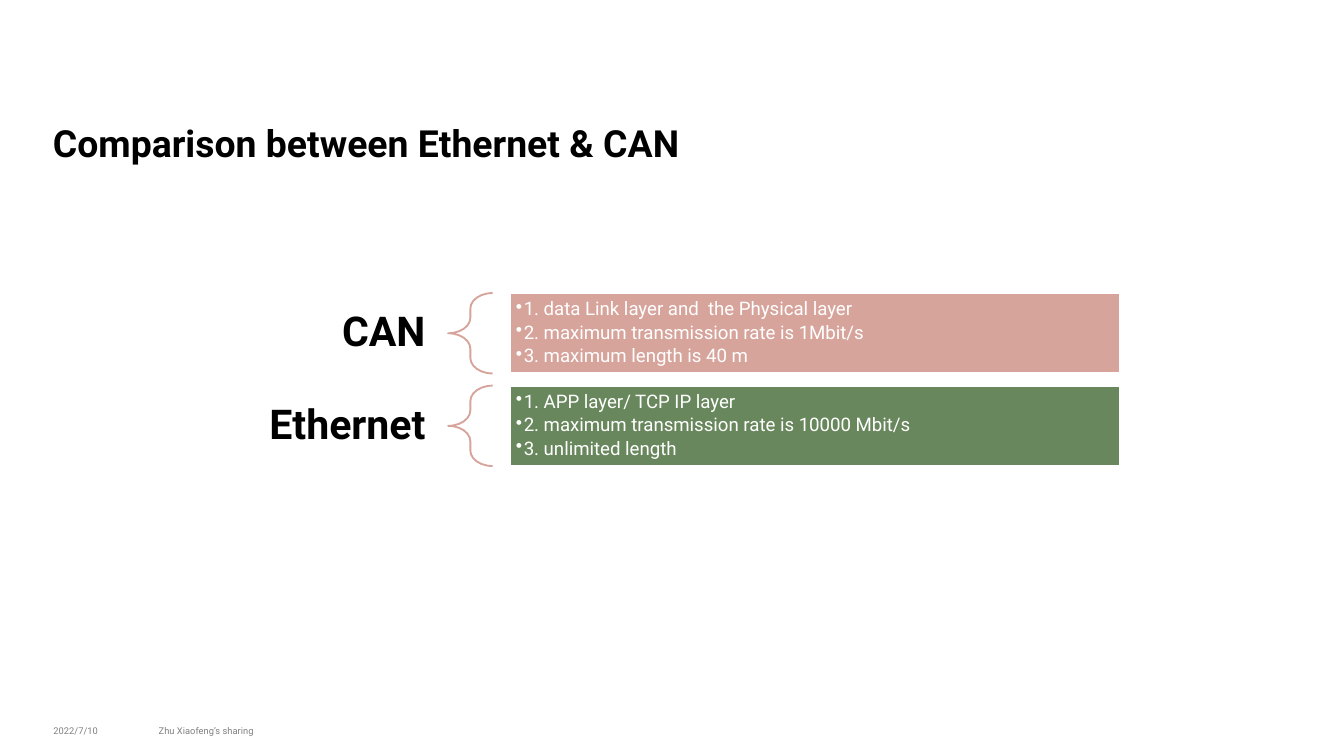
from lxml import etree
from pptx import Presentation
from pptx.dml.color import RGBColor
from pptx.enum.shapes import MSO_SHAPE
from pptx.enum.text import MSO_ANCHOR, PP_ALIGN
from pptx.oxml.ns import qn
from pptx.util import Cm, Pt

BLACK = RGBColor(0x00, 0x00, 0x00)
GREY = RGBColor(0x80, 0x80, 0x80)
WHITE = RGBColor(0xFF, 0xFF, 0xFF)
ROSE = RGBColor(0xD7, 0xA4, 0x9C)
GREEN = RGBColor(0x68, 0x87, 0x5C)
FONT = "Roboto"
LEFT, RIGHT = PP_ALIGN.LEFT, PP_ALIGN.RIGHT
MIDDLE, BOTTOM = MSO_ANCHOR.MIDDLE, MSO_ANCHOR.BOTTOM
BRACE, RECTANGLE = MSO_SHAPE.LEFT_BRACE, MSO_SHAPE.RECTANGLE

TITLE = "Comparison between Ethernet & CAN"
FOOTERS = [  # text, left, width
    ("2022/7/10", 1.01, 1.3),
    ("Zhu Xiaofeng’s sharing", 3.0, 9.3),
]
NETWORKS = [  # name, panel colour, points
    ("CAN", ROSE, [
        "1. data Link layer and  the Physical layer",
        "2. maximum transmission rate is 1Mbit/s",
        "3. maximum length is 40 m",
    ]),
    ("Ethernet", GREEN, [
        "1. APP layer/ TCP IP layer",
        "2. maximum transmission rate is 10000 Mbit/s",
        "3. unlimited length",
    ]),
]

# Row geometry in centimetres
FIRST_TOP, ROW_PITCH, ROW_HEIGHT = 5.54, 1.75, 1.52
LABEL_LEFT, LABEL_WIDTH, LABEL_HEIGHT = 4.23, 4.24, 1.22
BRACE_LEFT, BRACE_WIDTH = 8.47, 0.84
PANEL_LEFT, PANEL_WIDTH = 9.65, 11.51
BULLET_INDENT = 0.15


def add_bullet(paragraph):
    properties = paragraph._p.get_or_add_pPr()
    properties.set("marL", str(Cm(BULLET_INDENT)))
    properties.set("indent", str(-Cm(BULLET_INDENT)))
    etree.SubElement(properties, qn("a:buChar")).set("char", "•")


def write(shape, lines, size, color, bold=False, align=LEFT, anchor=MIDDLE,
          inset=(0, 0), spacing=1.0, after=0, bullets=False):
    """Fill the shape with one paragraph per line; inset is (sides, top and bottom)."""
    frame = shape.text_frame
    frame.word_wrap = True
    frame.vertical_anchor = anchor
    frame.margin_left = frame.margin_right = Cm(inset[0])
    frame.margin_top = frame.margin_bottom = Cm(inset[1])
    for index, line in enumerate(lines):
        paragraph = frame.add_paragraph() if index else frame.paragraphs[0]
        if bullets:
            add_bullet(paragraph)
        paragraph.alignment = align
        paragraph.line_spacing = spacing
        paragraph.space_after = Pt(after)
        run = paragraph.add_run()
        run.text = line
        run.font.name = FONT
        run.font.size = Pt(size)
        run.font.bold = bold
        run.font.color.rgb = color


def add_text(slide, box, line, size, color, **style):
    textbox = slide.shapes.add_textbox(*map(Cm, box))
    write(textbox, [line], size, color, **style)


def add_outlined(slide, kind, box, line_color):
    shape = slide.shapes.add_shape(kind, *map(Cm, box))
    shape.shadow.inherit = False
    shape.line.color.rgb = line_color
    shape.line.width = Pt(1)
    return shape


def add_network(slide, top, name, color, points):
    label_top = top + (ROW_HEIGHT - LABEL_HEIGHT) / 2
    add_text(slide, (LABEL_LEFT, label_top, LABEL_WIDTH, LABEL_HEIGHT), name, 22, BLACK,
             bold=True, align=RIGHT, inset=(0.43, 0.15), spacing=0.9, after=9)

    brace = add_outlined(slide, BRACE, (BRACE_LEFT, top, BRACE_WIDTH, ROW_HEIGHT), ROSE)
    brace.fill.background()
    brace.adjustments[0] = 0.35
    brace.adjustments[1] = 0.5

    panel = add_outlined(slide, RECTANGLE, (PANEL_LEFT, top, PANEL_WIDTH, ROW_HEIGHT), WHITE)
    panel.fill.solid()
    panel.fill.fore_color.rgb = color
    write(panel, points, 10, WHITE, inset=(0.1, 0.1), spacing=0.9, after=1.75, bullets=True)


def main():
    presentation = Presentation()
    presentation.slide_width, presentation.slide_height = Cm(25.4), Cm(14.29)
    slide = presentation.slides.add_slide(presentation.slide_layouts[6])

    add_text(slide, (1.0, 2.24, 23.32, 0.89), TITLE, 20, BLACK,
             bold=True, anchor=BOTTOM, spacing=0.9)
    for text, left, width in FOOTERS:
        add_text(slide, (left, 13.67, width, 0.28), text, 5, GREY)
    for row, network in enumerate(NETWORKS):
        add_network(slide, FIRST_TOP + row * ROW_PITCH, *network)

    presentation.save("out.pptx")


if __name__ == "__main__":
    main()
